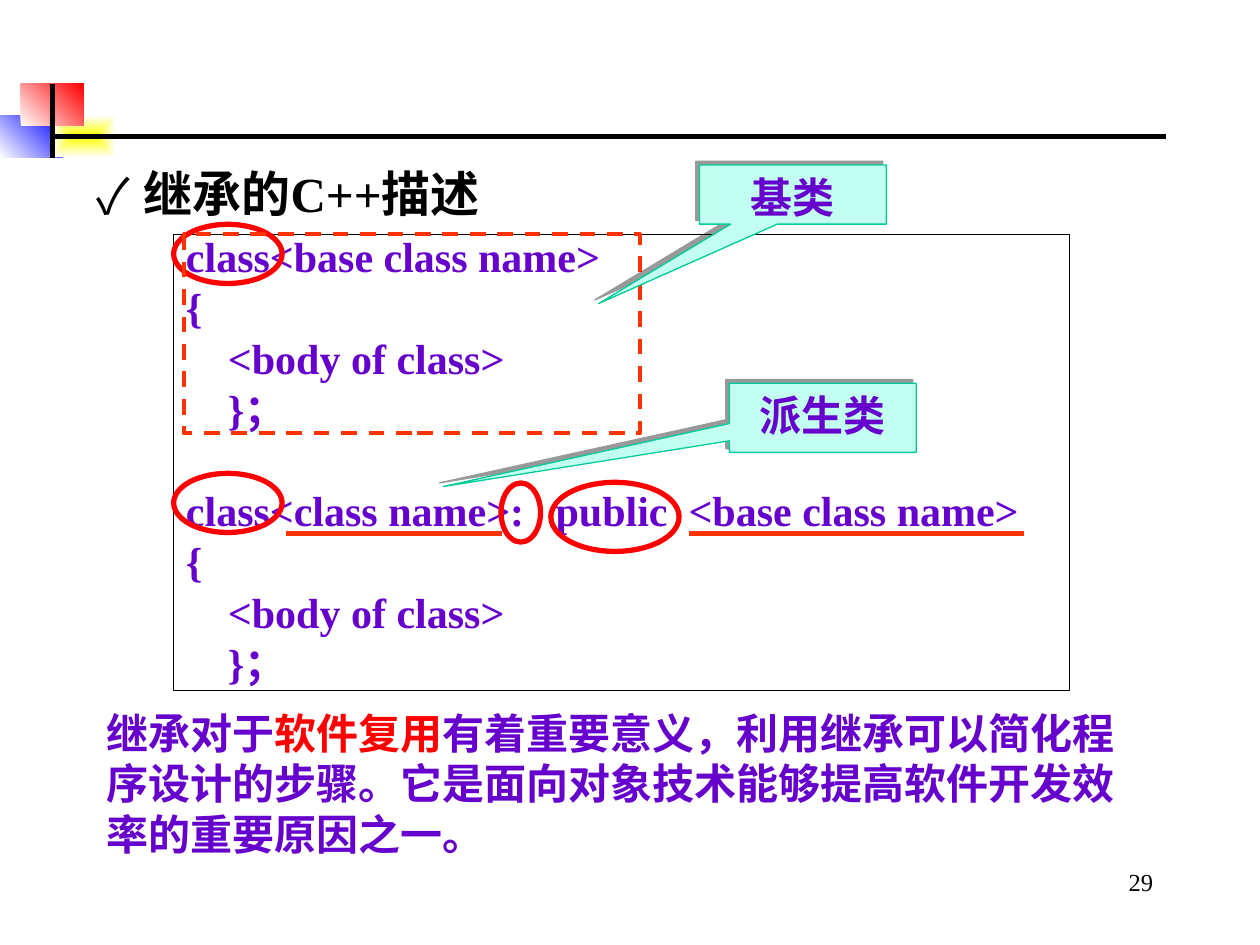
from typing import NamedTuple

from lxml.etree import SubElement
from pptx import Presentation
from pptx.dml.color import RGBColor
from pptx.enum.dml import MSO_LINE
from pptx.enum.shapes import MSO_CONNECTOR, MSO_SHAPE
from pptx.enum.text import MSO_ANCHOR, MSO_AUTO_SIZE, PP_ALIGN
from pptx.oxml.ns import qn
from pptx.util import Pt

BLACK = RGBColor(0x00, 0x00, 0x00)
WHITE = RGBColor(0xFF, 0xFF, 0xFF)
RED = RGBColor(0xFF, 0x00, 0x00)
BLUE = RGBColor(0x00, 0x00, 0xFF)
YELLOW = RGBColor(0xFF, 0xFF, 0x00)
PURPLE = RGBColor(0x66, 0x00, 0xCC)
ORANGE = RGBColor(0xFF, 0x33, 0x00)
MINT = RGBColor(0xC2, 0xFF, 0xF0)
GREEN = RGBColor(0x00, 0xCC, 0x99)

SERIF = "Times New Roman"
SANS = "Noto Sans CJK SC"
HANGING = Pt(27)

CODE = """class<base class name>
{
    <body of class>
    }；

class<class name>:   public  <base class name>
{
    <body of class>
    }；"""


class Area(NamedTuple):
    left: float
    top: float
    width: float
    height: float

    def lengths(self) -> list:
        return [Pt(value) for value in self]


class Tile(NamedTuple):
    area: Area
    start: RGBColor
    end: RGBColor
    from_centre: bool


class Rule(NamedTuple):
    x1: float
    y1: float
    x2: float
    y2: float
    color: RGBColor
    weight: float


class Callout(NamedTuple):
    text: str
    area: Area
    tip: tuple[float, float]


TILES = [
    Tile(Area(0, 66, 36, 24), WHITE, BLUE, False),
    Tile(Area(30, 66, 36, 24), YELLOW, WHITE, True),
    Tile(Area(12, 48, 36, 24), WHITE, RED, False),
]
HEADER_RULES = [
    Rule(30, 78, 666, 78, BLACK, 2.5),
    Rule(30, 48, 30, 90, BLACK, 2.5),
]
UNDERLINES = [
    Rule(163.2, 304.8, 286.8, 304.8, ORANGE, 3),
    Rule(393.8, 304.8, 585.3, 304.8, ORANGE, 3),
]
KEYWORD_RINGS = [
    Area(286.3, 276, 22.6, 33.8),
    Area(99.2, 270.5, 62, 33.8),
    Area(314.8, 275.6, 73.3, 39.5),
    Area(99.2, 128.2, 62, 33.8),
]
CALLOUTS = [
    Callout("基类", Area(399.7, 94.3, 106.8, 33.8), (-1.04, 1.844)),
    Callout("派生类", Area(416.8, 219, 106.8, 39.5), (-2.031, 0.995)),
]


def style_run(span, size: float, color: RGBColor, latin: str, bold: bool = True) -> None:
    span.font.size = Pt(size)
    span.font.bold = bold
    span.font.color.rgb = color
    span.font.name = latin
    SubElement(span.font._element, qn("a:ea")).set("typeface", SANS)


def set_hanging(para) -> None:
    properties = para._p.get_or_add_pPr()
    properties.set("marL", str(HANGING))
    properties.set("indent", str(-HANGING))


def add_outline(page, kind, area: Area, color: RGBColor, weight: float):
    """Add an unfilled preset shape."""
    shape = page.shapes.add_shape(kind, *area.lengths())
    shape.shadow.inherit = False
    shape.fill.background()
    shape.line.color.rgb = color
    shape.line.width = Pt(weight)
    return shape


def add_tile(page, tile: Tile) -> None:
    shape = page.shapes.add_shape(MSO_SHAPE.RECTANGLE, *tile.area.lengths())
    shape.shadow.inherit = False
    shape.line.fill.background()
    shape.fill.gradient()
    shape.fill.gradient_angle = 45
    for stop, color in zip(shape.fill.gradient_stops, (tile.start, tile.end)):
        stop.color.rgb = color
    if tile.from_centre:
        gradient = shape._element.spPr.find(qn("a:gradFill"))
        gradient.remove(gradient.find(qn("a:lin")))
        shade = SubElement(gradient, qn("a:path"))
        shade.set("path", "rect")
        focus = SubElement(shade, qn("a:fillToRect"))
        for side in "ltrb":
            focus.set(side, "50000")


def add_rule(page, rule: Rule) -> None:
    ends = [Pt(value) for value in rule[:4]]
    line = page.shapes.add_connector(MSO_CONNECTOR.STRAIGHT, *ends)
    line.line.color.rgb = rule.color
    line.line.width = Pt(rule.weight)
    SubElement(line._element.spPr, qn("a:effectLst"))


def add_callout(page, callout: Callout) -> None:
    shape = add_outline(page, MSO_SHAPE.RECTANGULAR_CALLOUT, callout.area, GREEN, 0.75)
    shape.fill.solid()
    shape.fill.fore_color.rgb = MINT
    for index, value in enumerate(callout.tip):
        shape.adjustments[index] = value
    effects = shape._element.spPr.find(qn("a:effectLst"))
    shadow = SubElement(effects, qn("a:outerShdw"), dist=str(Pt(3)), dir="13500000",
                        algn="ctr", rotWithShape="0")
    tint = SubElement(shadow, qn("a:srgbClr"), val=str(BLACK))
    SubElement(tint, qn("a:alpha"), val="40000")
    frame = shape.text_frame
    frame.text = callout.text
    frame.vertical_anchor = MSO_ANCHOR.TOP
    frame.paragraphs[0].alignment = PP_ALIGN.CENTER
    style_run(frame.paragraphs[0].runs[0], 24, PURPLE, SANS)


def add_heading(page) -> None:
    title = page.shapes.title
    title.left, title.top, title.width, title.height = Area(48, 90, 497.5, 50.4).lengths()
    frame = title.text_frame
    frame.text = "继承的C++描述"
    frame.auto_size = MSO_AUTO_SIZE.NONE
    frame.vertical_anchor = MSO_ANCHOR.TOP
    para = frame.paragraphs[0]
    para.alignment = PP_ALIGN.LEFT
    set_hanging(para)
    properties = para._p.get_or_add_pPr()
    bullet_color = SubElement(properties, qn("a:buClr"))
    SubElement(bullet_color, qn("a:srgbClr"), val=str(BLACK))
    SubElement(properties, qn("a:buFont"), typeface=SANS)
    SubElement(properties, qn("a:buChar"), char="✓")
    style_run(para.runs[0], 28, BLACK, SERIF)


def add_code(page) -> None:
    box = add_outline(page, MSO_SHAPE.RECTANGLE, Area(99.2, 133.9, 512, 260.6), BLACK, 0.75)
    frame = box.text_frame
    frame.text = CODE
    frame.vertical_anchor = MSO_ANCHOR.TOP
    for index, para in enumerate(frame.paragraphs):
        para.alignment = PP_ALIGN.LEFT
        para.line_spacing = 0.8
        para.space_before = Pt(6 if index else 0)
        set_hanging(para)
        para.font.size = Pt(24)
        for span in para.runs:
            style_run(span, 24, PURPLE, SERIF)


def add_text_box(page, area: Area):
    frame = page.shapes.add_textbox(*area.lengths()).text_frame
    frame.word_wrap = True
    return frame


def add_summary(page) -> None:
    frame = add_text_box(page, Area(54, 400.3, 607, 118.8))
    para = frame.paragraphs[0]
    para.line_spacing = Pt(29)
    for text, color in [
        ("继承对于", PURPLE),
        ("软件复用", RED),
        ("有着重要意义，利用继承可以简化程序设计的步骤。"
         "它是面向对象技术能够提高软件开发效率的重要原因之一。", PURPLE),
    ]:
        span = para.add_run()
        span.text = text
        style_run(span, 24, color, SANS)


def add_page_number(page) -> None:
    frame = add_text_box(page, Area(516, 492, 150, 36))
    frame.text = "29"
    frame.paragraphs[0].alignment = PP_ALIGN.RIGHT
    style_run(frame.paragraphs[0].runs[0], 14, BLACK, SERIF, bold=False)


def main() -> None:
    deck = Presentation()
    deck.slide_width, deck.slide_height = Pt(720), Pt(540)
    page = deck.slides.add_slide(deck.slide_layouts[5])
    for tile in TILES:
        add_tile(page, tile)
    for rule in HEADER_RULES:
        add_rule(page, rule)
    add_heading(page)
    add_page_number(page)
    add_code(page)
    for rule in UNDERLINES:
        add_rule(page, rule)
    for area in KEYWORD_RINGS:
        add_outline(page, MSO_SHAPE.OVAL, area, RED, 3)
    add_summary(page)
    base_frame = add_outline(page, MSO_SHAPE.RECTANGLE, Area(105, 133.9, 260.6, 113.8), ORANGE, 2.25)
    base_frame.line.dash_style = MSO_LINE.DASH
    for callout in CALLOUTS:
        add_callout(page, callout)
    deck.save("out.pptx")


if __name__ == "__main__":
    main()
